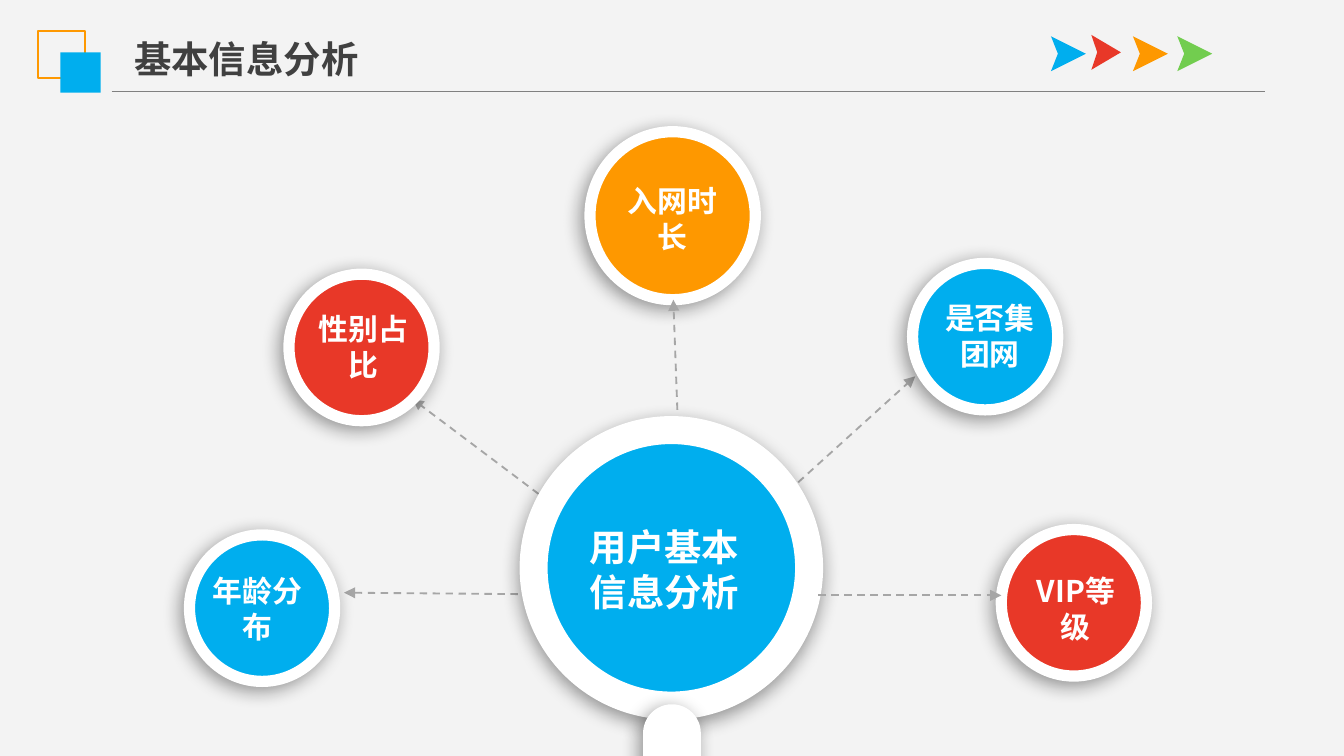
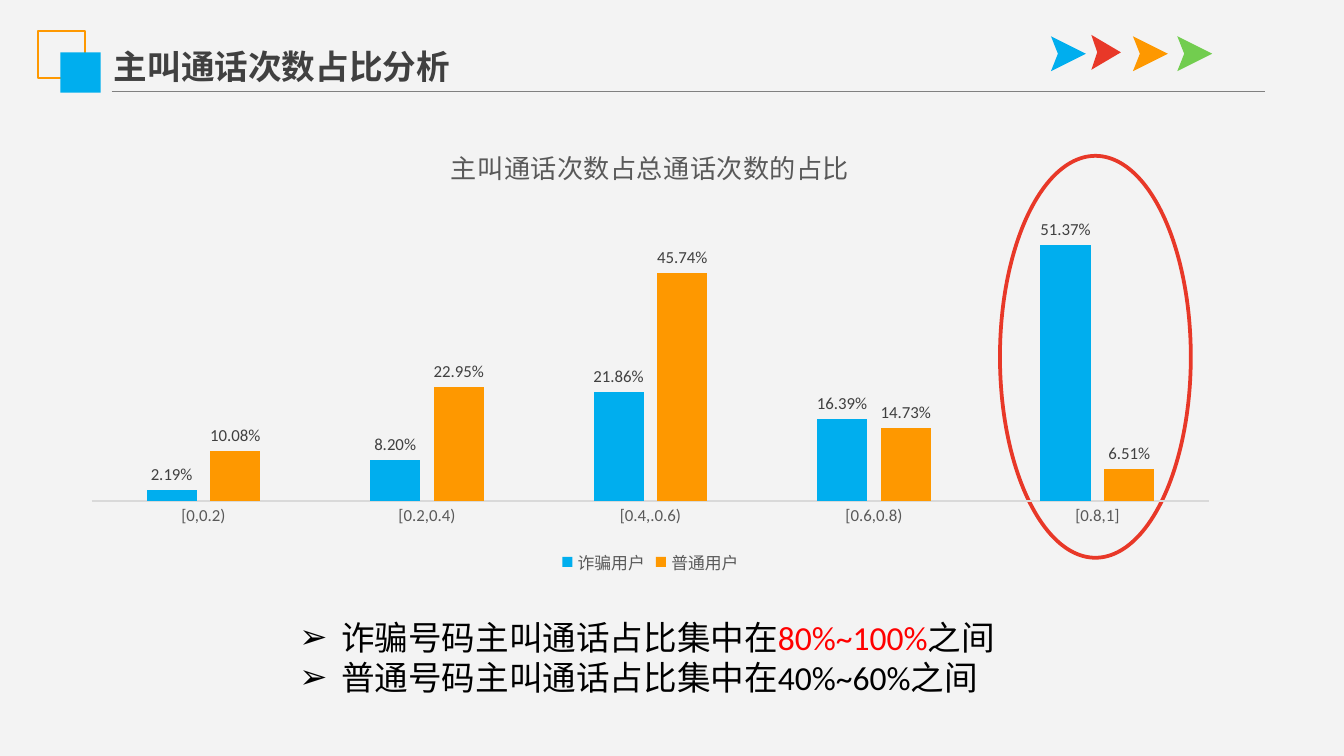
from dataclasses import dataclass

from lxml.etree import SubElement
from pptx import Presentation
from pptx.chart.data import CategoryChartData
from pptx.dml.color import RGBColor
from pptx.enum.chart import XL_CHART_TYPE, XL_LABEL_POSITION, XL_LEGEND_POSITION, XL_TICK_MARK
from pptx.enum.dml import MSO_LINE
from pptx.enum.shapes import MSO_CONNECTOR, MSO_SHAPE
from pptx.enum.text import PP_ALIGN
from pptx.oxml.ns import qn
from pptx.util import Inches, Pt


@dataclass(frozen=True)
class Theme:
    back: str = "F3F3F3"
    blue: str = "00AEEE"
    red: str = "E83828"
    orange: str = "FE9800"
    green: str = "72CD4F"
    white: str = "FFFFFF"
    black: str = "000000"
    alert: str = "FF0000"
    dark: str = "404040"
    text: str = "595959"
    rule: str = "808080"
    arrow: str = "A6A6A6"
    axis: str = "D9D9D9"
    head: str = "Noto Sans CJK SC"
    body: str = "Calibri"
    big: int = 20
    mid: int = 18
    label: int = 16
    chart: int = 14
    small: int = 9


T = Theme()


def rgb(code):
    return RGBColor.from_string(code)


def setall(obj, values):
    for name, value in values.items():
        setattr(obj, name, value)


def style(font, size, color, name=T.body, bold=False):
    setall(font, {"size": Pt(size), "name": name, "bold": bold})
    font.color.rgb = rgb(color)


def stroke(line, color, width):
    line.color.rgb = rgb(color)
    line.width = Pt(width)


def paint(shape, fill=None, line=None, width=1):
    shape.shadow.inherit = False
    if fill:
        shape.fill.solid()
        shape.fill.fore_color.rgb = rgb(fill)
    else:
        shape.fill.background()
    if line:
        stroke(shape.line, line, width)
    else:
        shape.line.fill.background()
    return shape


def add(slide, kind, box, **look):
    return paint(slide.shapes.add_shape(kind, *map(Inches, box)), **look)


def shade(shape, angle=135):
    """Add a soft outer shadow cast towards the angle."""
    effects = shape._element.spPr.find(qn("a:effectLst"))
    outer = SubElement(effects, qn("a:outerShdw"), blurRad=str(Pt(10)),
                       dist=str(Pt(3)), dir=str(angle * 60000), rotWithShape="0")
    color = SubElement(outer, qn("a:srgbClr"), val=T.black)
    SubElement(color, qn("a:alpha"), val="40000")


def link(slide, start, end, color, width, arrow=False):
    line = slide.shapes.add_connector(MSO_CONNECTOR.STRAIGHT, *map(Inches, start + end))
    stroke(line.line, color, width)
    if arrow:
        line.line.dash_style = MSO_LINE.DASH
        SubElement(line.line._get_or_add_ln(), qn("a:tailEnd"), type="triangle")
    SubElement(line._element.spPr, qn("a:effectLst"))


def write(para, text, size, color, name=T.head, bold=True):
    run = para.add_run()
    run.text = text
    style(run.font, size, color, name, bold)
    SubElement(run._r.get_or_add_rPr(), qn("a:ea"), typeface=T.head)


def frame(slide, box, wrap=True, inset=(0.1, 0.05)):
    area = slide.shapes.add_textbox(*map(Inches, box)).text_frame
    side, top = map(Inches, inset)
    setall(area, {"word_wrap": wrap, "margin_left": side, "margin_right": side,
                  "margin_top": top, "margin_bottom": top})
    return area


def center(slide, box, text, size, **space):
    para = frame(slide, box, **space).paragraphs[0]
    para.alignment = PP_ALIGN.CENTER
    write(para, text, size, T.white)


def dart(slide, box, color):
    """Draw a notched arrowhead that points right."""
    x, y, w, h = map(Inches, box)
    mid = y + h // 2
    pen = slide.shapes.build_freeform(x, y + h)
    pen.add_line_segments([(x + w // 5, mid), (x, y), (x + w, mid)], close=True)
    paint(pen.convert_to_shape(), color)


def header(slide, box, title, size):
    x, y, w, h = box
    link(slide, (x + 0.55, y + h), (x + w, y + h), T.rule, 0.75)
    add(slide, MSO_SHAPE.RECTANGLE, (x, y, 0.35, 0.35), line=T.orange)
    add(slide, MSO_SHAPE.RECTANGLE, (x + 0.17, y + 0.16, 0.3, 0.3), fill=T.blue)
    darts = [(7.54, 0.04, 0.26, T.blue), (7.84, 0.03, 0.22, T.red),
             (8.15, 0.04, 0.26, T.orange), (8.48, 0.04, 0.26, T.green)]
    for dx, dy, wide, color in darts:
        dart(slide, (x + dx, y + dy, wide, 0.26), color)
    left, top, wide, tall = title[1]
    para = frame(slide, (x + left, y + top, wide, tall), wrap=False).paragraphs[0]
    write(para, title[0], size, T.dark)


def node(slide, box, shift, text, color):
    x, y = box[:2]
    shade(add(slide, MSO_SHAPE.OVAL, box, fill=color, line=T.white, width=6))
    center(slide, (x + shift[0], y + shift[1], 0.97, 0.66), text, T.label,
           inset=(0.12, 0.06))


def lens(slide, box, text):
    """Draw the magnifier with the main topic in its glass."""
    x, y, w, h = box
    glass = add(slide, MSO_SHAPE.OVAL, box, fill=T.blue, line=T.white, width=15)
    shade(glass, 100)
    grip = add(slide, MSO_SHAPE.ROUNDED_RECTANGLE,
               (x + w / 2 - 0.21, y + h - 0.01, 0.43, 0.88), fill=T.white)
    grip.adjustments[0] = 0.5
    shade(grip)
    center(slide, (x + 0.23, y + 0.65, 1.49, 0.77), text, T.big)


def topics(slide, box):
    x, y = box[:2]

    def arrow(start, end):
        link(slide, (x + start[0], y + start[1]), (x + end[0], y + end[1]),
             T.arrow, 1, arrow=True)

    hub = (3.6, 3.45)
    for end in [(1.15, 3.43), (1.66, 1.99), (5.4, 1.82)]:
        arrow(hub, end)
    lens(slide, (x + 2.56, y + 2.22, 2.05, 2.05), "用户基本信息分析")
    nodes = [
        (0, 3, 1.08, 1.09, (0.02, 0.22), "年龄分布", T.blue),
        (0.74, 1.06, 1.08, 1.09, (0.07, 0.21), "性别占比", T.red),
        (2.98, 0, 1.23, 1.25, (0.13, 0.32), "入网时长", T.orange),
        (5.38, 0.98, 1.08, 1.09, (0.09, 0.21), "是否集团网", T.blue),
        (6.04, 2.96, 1.08, 1.09, (0.07, 0.26), "VIP等级", T.red),
    ]
    for dx, dy, w, h, shift, text, color in nodes:
        node(slide, (x + dx, y + dy, w, h), shift, text, color)
    arrow((4.68, 3.45), (6.04, 3.45))
    arrow((3.63, 2.07), (3.6, 1.25))


def bars(slide, box):
    data = CategoryChartData(number_format="0.00%")
    data.categories = ["[0,0.2)", "[0.2,0.4)", "[0.4,.0.6)", "[0.6,0.8)", "[0.8,1]"]
    data.add_series("诈骗用户", [0.0219, 0.082, 0.2186, 0.1639, 0.5137])
    data.add_series("普通用户", [0.1008, 0.2295, 0.4574, 0.1473, 0.0651])
    chart = slide.shapes.add_chart(XL_CHART_TYPE.COLUMN_CLUSTERED,
                                   *map(Inches, box), data).chart
    style(chart.font, 10, T.black)
    title = chart.chart_title.text_frame.paragraphs[0]
    write(title, "主叫通话次数占总通话次数的占比", T.chart, T.text, T.body, False)
    chart.has_legend = True
    setall(chart.legend, {"position": XL_LEGEND_POSITION.BOTTOM,
                          "include_in_layout": False})
    style(chart.legend.font, T.small, T.text)
    setall(chart.value_axis, {"visible": False, "has_major_gridlines": False,
                              "minimum_scale": 0, "maximum_scale": 0.6})
    axis = chart.category_axis
    axis.major_tick_mark = XL_TICK_MARK.NONE
    style(axis.tick_labels.font, T.small, T.text)
    stroke(axis.format.line, T.axis, 0.75)
    plot = chart.plots[0]
    setall(plot, {"gap_width": 219, "overlap": -27, "vary_by_categories": False})
    for series, color in zip(plot.series, (T.blue, T.orange)):
        series.format.fill.solid()
        series.format.fill.fore_color.rgb = rgb(color)
        labels = series.data_labels
        setall(labels, {"show_value": True, "number_format": "0.00%",
                        "number_format_is_linked": False,
                        "position": XL_LABEL_POSITION.OUTSIDE_END})
        style(labels.font, T.small, T.dark)


def notes(slide, box):
    """Write the findings as a bulleted list."""
    lines = [
        [("诈骗号码主叫通话占比集中在", T.black), ("80%~100%", T.alert), ("之间", T.black)],
        [("普通号码主叫通话占比集中在40%~60%之间", T.black)],
    ]
    area = frame(slide, box)
    for i, parts in enumerate(lines):
        para = area.add_paragraph() if i else area.paragraphs[0]
        props = para._p.get_or_add_pPr()
        props.set("marL", str(Inches(0.31)))
        props.set("indent", str(Inches(-0.31)))
        SubElement(props, qn("a:buFont"), typeface=T.body)
        SubElement(props, qn("a:buChar"), char="➢")
        for text, color in parts:
            write(para, text, T.mid, color, T.body, False)


def page(deck, title, size):
    slide = deck.slides.add_slide(deck.slide_layouts[6])
    slide.background.fill.solid()
    slide.background.fill.fore_color.rgb = rgb(T.back)
    header(slide, (0.28, 0.23, 9.13, 0.45), title, size)
    return slide


def main():
    deck = Presentation()
    wide = Inches(10)
    setall(deck, {"slide_width": wide, "slide_height": wide * 9 // 16})
    first = page(deck, ("基本信息分析", (0.62, -0.01, 1.88, 0.44)), T.big)
    topics(first, (1.41, 0.98, 7.12, 4.09))
    second = page(deck, ("主叫通话次数占比分析", (0.47, 0.06, 2.73, 0.4)), T.mid)
    add(second, MSO_SHAPE.OVAL, (7.44, 1.16, 1.42, 2.99), line=T.red, width=2)
    bars(second, (0.51, 0.92, 8.66, 3.39))
    notes(second, (2.13, 4.54, 5.43, 0.71))
    deck.save("out.pptx")


if __name__ == "__main__":
    main()
